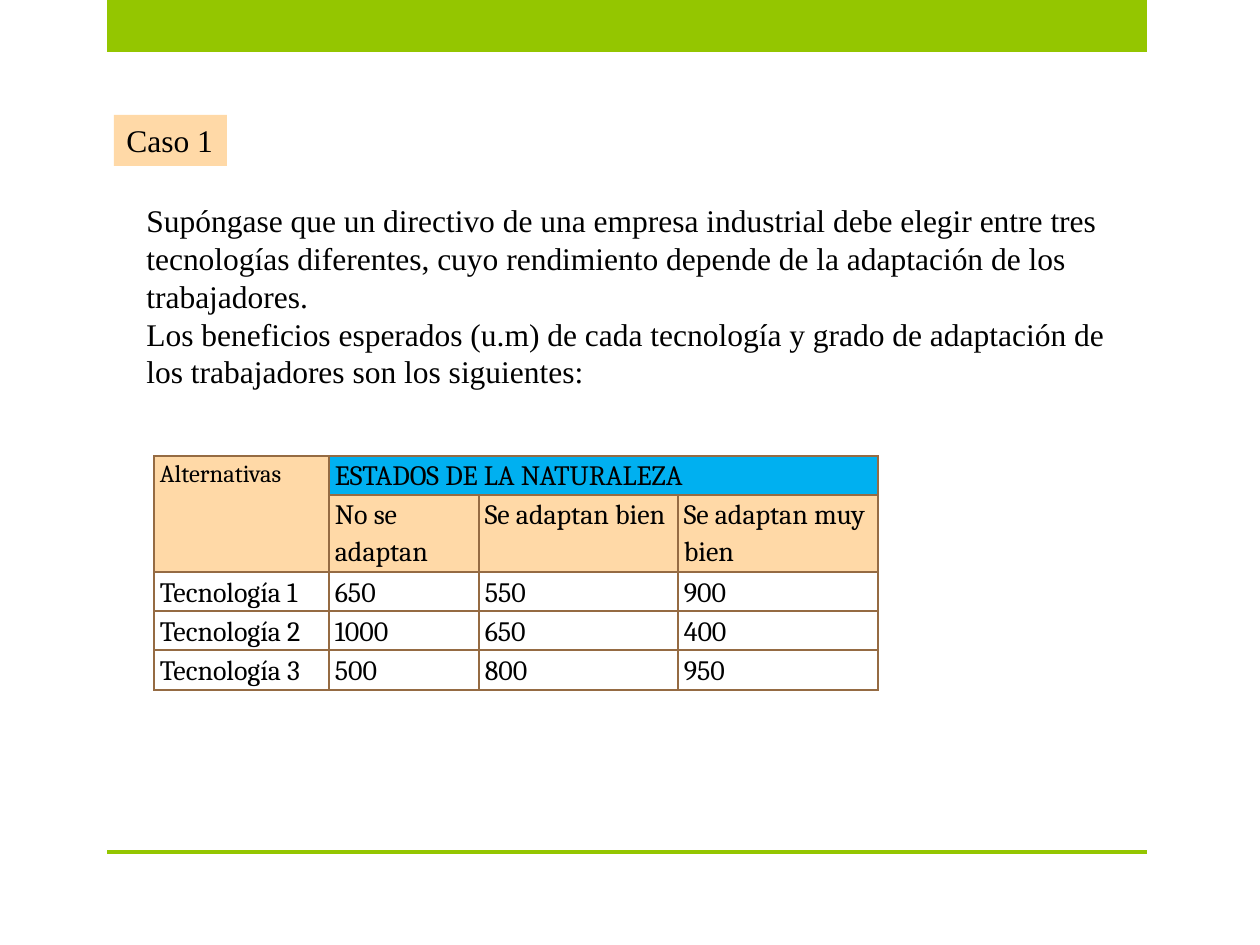
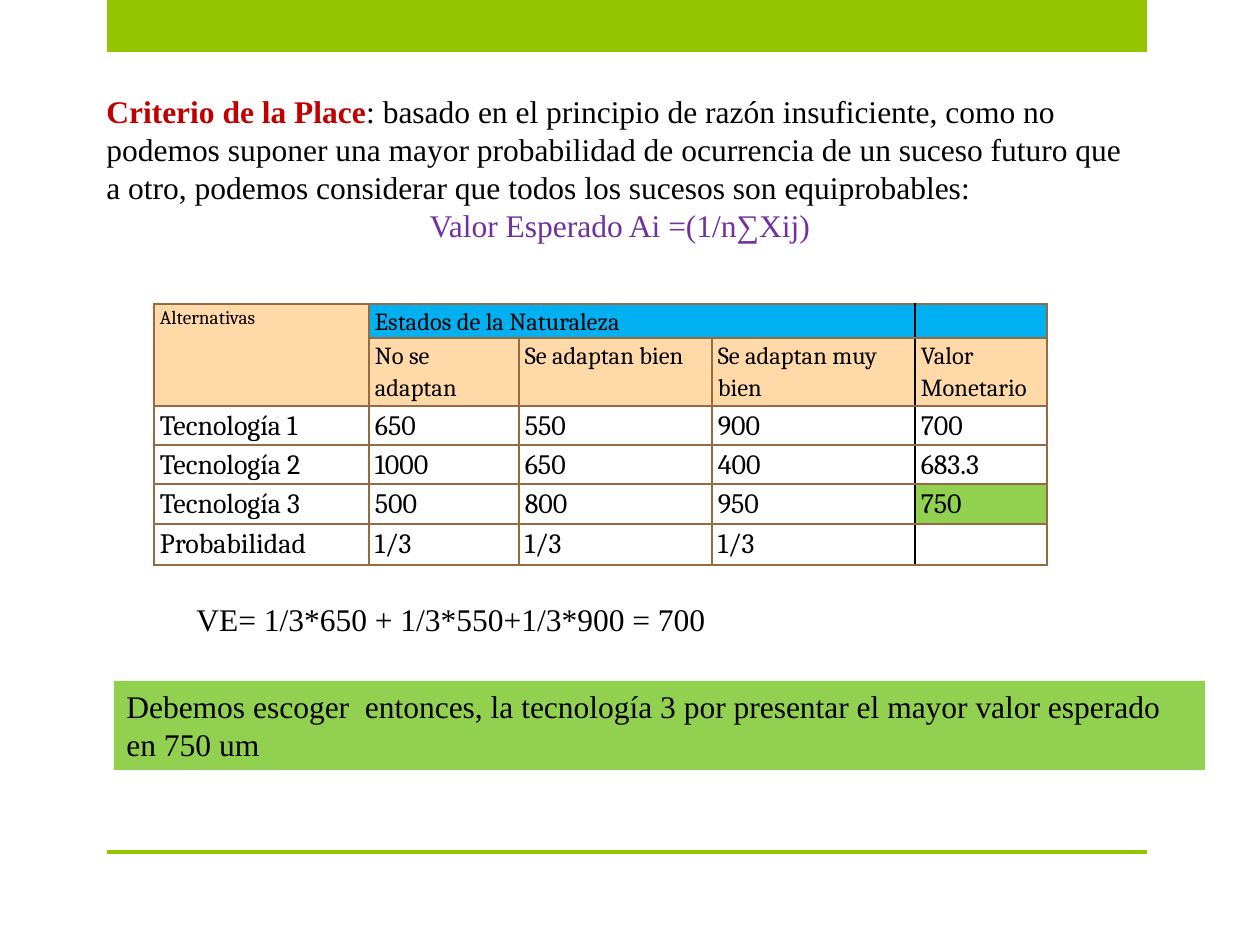
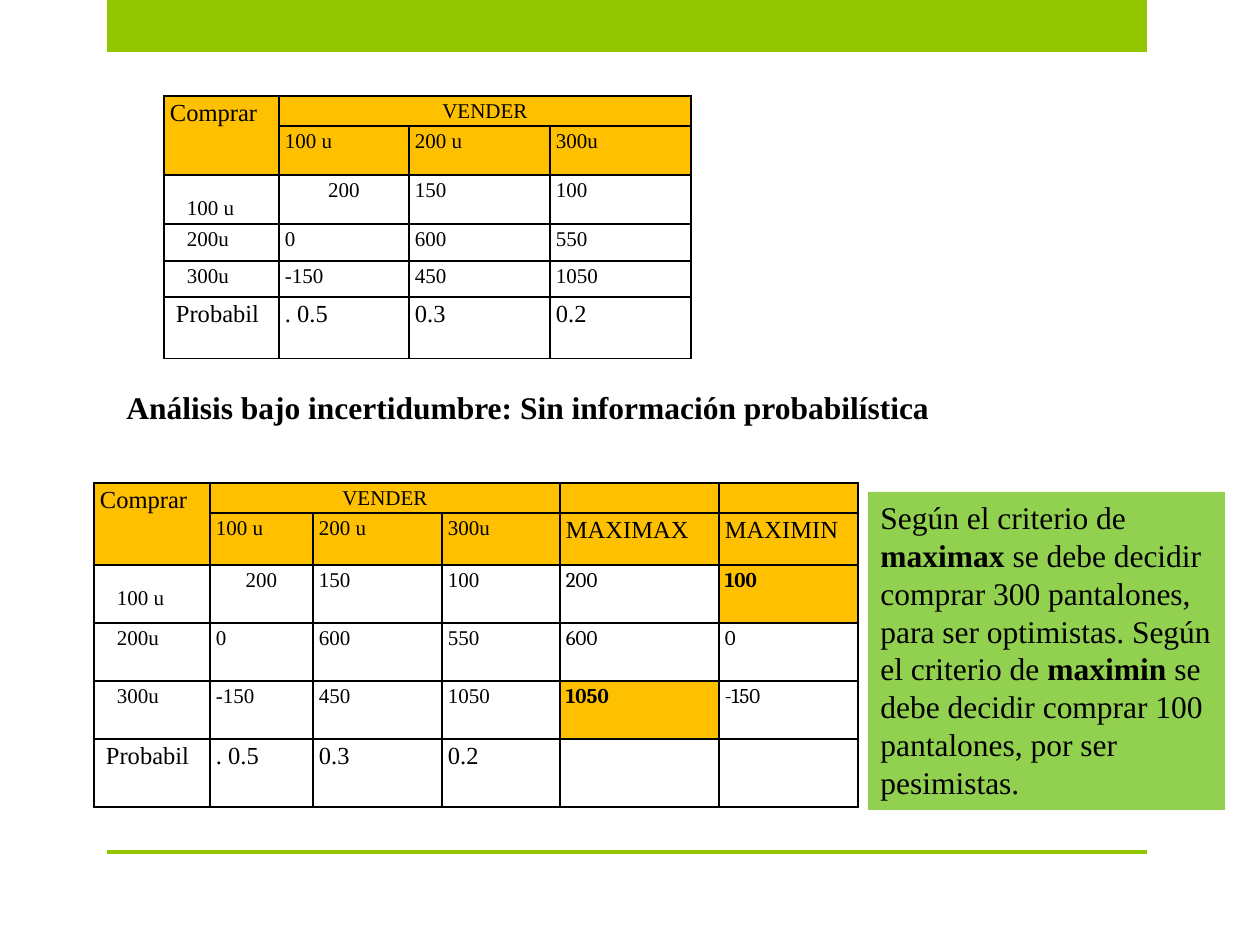
import pptx
import pptx.dml.color
import pptx.enum.shapes
import pptx.enum.text
import pptx.oxml.ns
import pptx.util
from lxml import etree

SCALE = 914400 / 126
HUES = {
    "band": "94C600", "peach": "FFD9A7", "blue": "00B0F0", "brown": "956B43",
    "green": "92D050", "gold": "FFC000", "red": "C00000", "purple": "7030A0",
    "black": "000000",
}
SERIF = "Times New Roman"
BOOK = "Cambria"
qn = pptx.oxml.ns.qn
Pt = pptx.util.Pt


def px(size):
    return pptx.util.Emu(round(size * SCALE))


def hue(name):
    return pptx.dml.color.RGBColor.from_string(HUES[name])


def write(frame, text, size=18, font=SERIF, color="black", bold=False,
          center=False, space=None):
    para = frame.add_paragraph() if frame.text else frame.paragraphs[0]
    align = pptx.enum.text.PP_ALIGN
    para.alignment = align.CENTER if center else align.LEFT
    if space:
        para.line_spacing = space
    if not text:
        etree.SubElement(para._p, qn("a:endParaRPr"), sz=str(size * 100))
        return
    for part in [text] if isinstance(text, str) else text:
        words, look = (part, {}) if isinstance(part, str) else part
        run = para.add_run()
        run.text = words
        run.font.size = Pt(size)
        run.font.name = font
        run.font.bold = look.get("bold", bold)
        run.font.color.rgb = hue(look.get("color", color))


def edge(cell, sides):
    props = cell._tc.get_or_add_tcPr()
    for side in "LRTB":
        line = etree.SubElement(props, qn("a:ln" + side), w=str(Pt(1)))
        fill = etree.SubElement(line, qn("a:solidFill"))
        etree.SubElement(fill, qn("a:srgbClr"), val=HUES[sides[side]])


class Deck:
    def __init__(self):
        self.file = pptx.Presentation()
        self.file.slide_width = px(1260)
        self.file.slide_height = px(945)
        self.page = None

    def slide(self):
        self.page = self.file.slides.add_slide(self.file.slide_layouts[6])
        self.box(107, 0, 1040, 52, "band")
        self.box(107, 850, 1040, 4, "band")

    def box(self, left, top, width, height, fill):
        shape = self.page.shapes.add_shape(
            pptx.enum.shapes.MSO_SHAPE.RECTANGLE,
            px(left), px(top), px(width), px(height))
        shape.shadow.inherit = False
        shape.fill.solid()
        shape.fill.fore_color.rgb = hue(fill)
        shape.line.fill.background()
        return shape

    def note(self, left, top, width, height, text, fill=None, wrap=True, **look):
        if fill:
            shape = self.box(left, top, width, height, fill)
        else:
            shape = self.page.shapes.add_textbox(
                px(left), px(top), px(width), px(height))
        frame = shape.text_frame
        frame.word_wrap = wrap
        frame.vertical_anchor = pptx.enum.text.MSO_ANCHOR.TOP
        write(frame, text, **look)
        return frame

    def table(self, left, top, cols, rows, data, base, line, head, marks, split=None):
        grid = self.page.shapes.add_table(
            len(rows), len(cols), px(left), px(top), px(sum(cols)), px(sum(rows))).table
        grid.first_row = grid.horz_banding = False
        for col, width in zip(grid.columns, cols):
            col.width = px(width)
        for row, height in zip(grid.rows, rows):
            row.height = px(height)
        grid.cell(0, 0).merge(grid.cell(1, 0))
        grid.cell(0, 1).merge(grid.cell(0, 3))
        for r, texts in enumerate(data):
            for c, text in enumerate(texts):
                cell = grid.cell(r, c)
                look = {**base, "fill": head if r < 2 else None, "indent": 0, "drop": 0}
                look.update(marks.get((r, None), {}))
                look.update(marks.get((r, c), {}))
                sides = dict.fromkeys("LRTB", line)
                if split is not None:
                    if c + cell.span_width - 1 == split:
                        sides["R"] = "black"
                    if c == split + 1:
                        sides["L"] = "black"
                edge(cell, sides)
                fill = look.pop("fill")
                if fill:
                    cell.fill.solid()
                    cell.fill.fore_color.rgb = hue(fill)
                else:
                    cell.fill.background()
                cell.margin_left = px(6 + look.pop("indent"))
                cell.margin_right = px(6)
                cell.margin_top = px(look.pop("drop"))
                cell.margin_bottom = 0
                write(cell.text_frame, text, space=1.15, **look)


TECH = [
    ["Tecnología 1", "650", "550", "900"],
    ["Tecnología 2", "1000", "650", "400"],
    ["Tecnología 3", "500", "800", "950"],
]
FIT = ["", "No se adaptan", "Se adaptan bien", "Se adaptan muy bien"]
TRADE = [
    ["Comprar", "VENDER", "", ""],
    ["", "100 u", "200 u", "300u"],
    ["100 u", "200", "150", "100"],
    ["200u", "0", "600", "550"],
    ["300u", "-150", "450", "1050"],
    ["Probabil", ". 0.5", "0.3", "0.2"],
]
GAINS = [
    ["", ""], ["MAXIMAX", "MAXIMIN"], ["200", "100"],
    ["600", "0"], ["1050", "-150"], ["", ""],
]
TRADE_MARKS = {
    (0, 0): {"size": 14},
    (0, 1): {"center": True},
    (2, 0): {"indent": 17, "drop": 18},
    (2, 1): {"center": True},
    (3, 0): {"indent": 17},
    (4, 0): {"indent": 17},
    (5, None): {"size": 14},
    (5, 0): {"size": 14, "indent": 6},
}


def case(deck):
    deck.slide()
    deck.note(114, 115, 113, 51, "Caso 1", fill="peach", wrap=False)
    frame = deck.note(
        134, 195, 1012, 432,
        "Supóngase que un directivo de una empresa industrial debe elegir entre tres "
        "tecnologías diferentes, cuyo rendimiento depende de la adaptación de los "
        "trabajadores.")
    write(frame, "Los beneficios esperados (u.m) de cada tecnología y grado de "
                 "adaptación de los trabajadores son los siguientes:")
    deck.table(
        154, 456, [175, 150, 199, 200], [39, 77, 39, 39, 40],
        [["Alternativas", "ESTADOS DE LA NATURALEZA", "", ""], FIT] + TECH,
        {"size": 16, "font": BOOK}, "brown", "peach",
        {(0, None): {"fill": "blue"}, (0, 0): {"size": 14, "fill": "peach"}})


def place(deck):
    deck.slide()
    worth = ["700", "683.3", "750"]
    deck.table(
        154, 304, [215, 150, 193, 203, 132], [34, 68, 39, 39, 40, 41],
        [["Alternativas", "Estados de la Naturaleza", "", "", ""],
         FIT + ["Valor Monetario"]]
        + [row + [value] for row, value in zip(TECH, worth)]
        + [["Probabilidad"] + ["1/3"] * 3 + [""]],
        {"size": 16, "font": BOOK}, "brown", "peach",
        {(0, None): {"size": 14, "fill": "blue"},
         (0, 0): {"size": 11, "fill": "peach"},
         (1, None): {"size": 14},
         (4, 4): {"fill": "green"}},
        split=3)
    frame = deck.note(94, 86, 1052, 165, [
        ("Criterio de la Place", {"bold": True, "color": "red"}),
        ": basado en el principio de razón insuficiente, como no podemos suponer una "
        "mayor probabilidad de ocurrencia de un suceso futuro que a otro, podemos "
        "considerar que todos los sucesos son equiprobables:"])
    write(frame, "Valor Esperado Ai =(1/n∑Xij)", color="purple", center=True)
    deck.note(114, 681, 1091, 89,
              "Debemos escoger  entonces, la tecnología 3 por presentar el mayor valor "
              "esperado en 750 um", fill="green")
    deck.note(184, 594, 556, 50, "VE= 1/3*650 + 1/3*550+1/3*900 = 700", wrap=False)


def trade(deck):
    deck.slide()
    base = {"size": 12}
    deck.table(164, 96, [115, 130, 141, 141], [30, 49, 49, 37, 36, 62],
               TRADE, base, "black", "gold", TRADE_MARKS)
    deck.note(114, 382, 973, 50,
              "Análisis bajo incertidumbre: Sin información probabilística", bold=True)
    marks = {(r, c): {"font": BOOK} for r in (2, 3, 4) for c in (4, 5)}
    for spot in (2, 5), (4, 4):
        marks[spot] = {"font": BOOK, "bold": True, "fill": "gold"}
    for c in (4, 5):
        marks[1, c] = {"size": 14}
    deck.table(94, 483, [116, 103, 129, 118, 159, 139], [30, 52, 58, 58, 58, 68],
               [row + gain for row, gain in zip(TRADE, GAINS)],
               base, "black", "gold", {**TRADE_MARKS, **marks})
    deck.note(868, 492, 357, 318, [
        "Según el criterio de ", ("maximax ", {"bold": True}),
        "se debe decidir comprar 300 pantalones, para ser optimistas. "
        "Según el criterio de ", ("maximin ", {"bold": True}),
        "se debe decidir comprar 100 pantalones, por ser pesimistas."], fill="green")


def main():
    deck = Deck()
    for build in case, place, trade:
        build(deck)
    deck.file.save("out.pptx")


if __name__ == "__main__":
    main()
